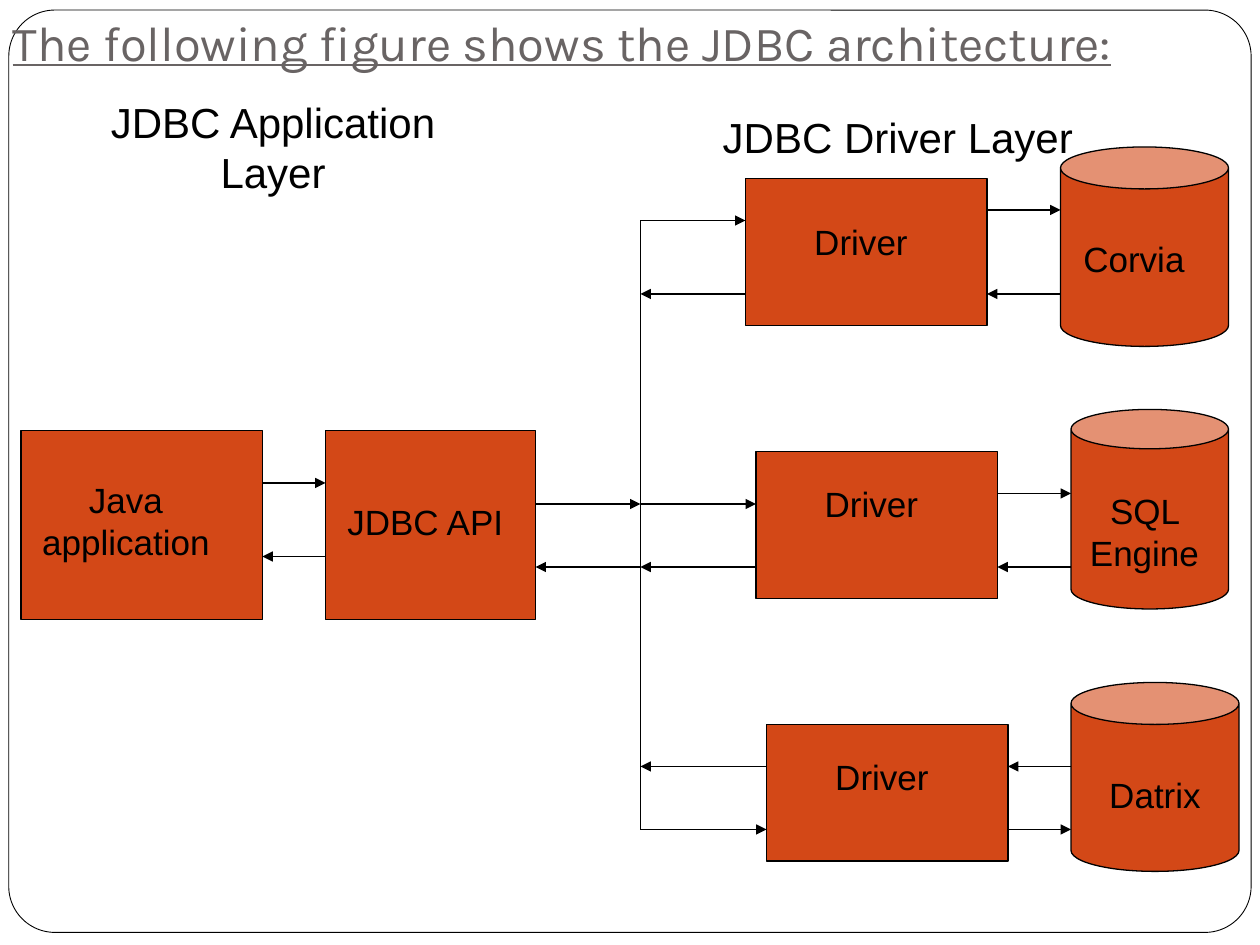
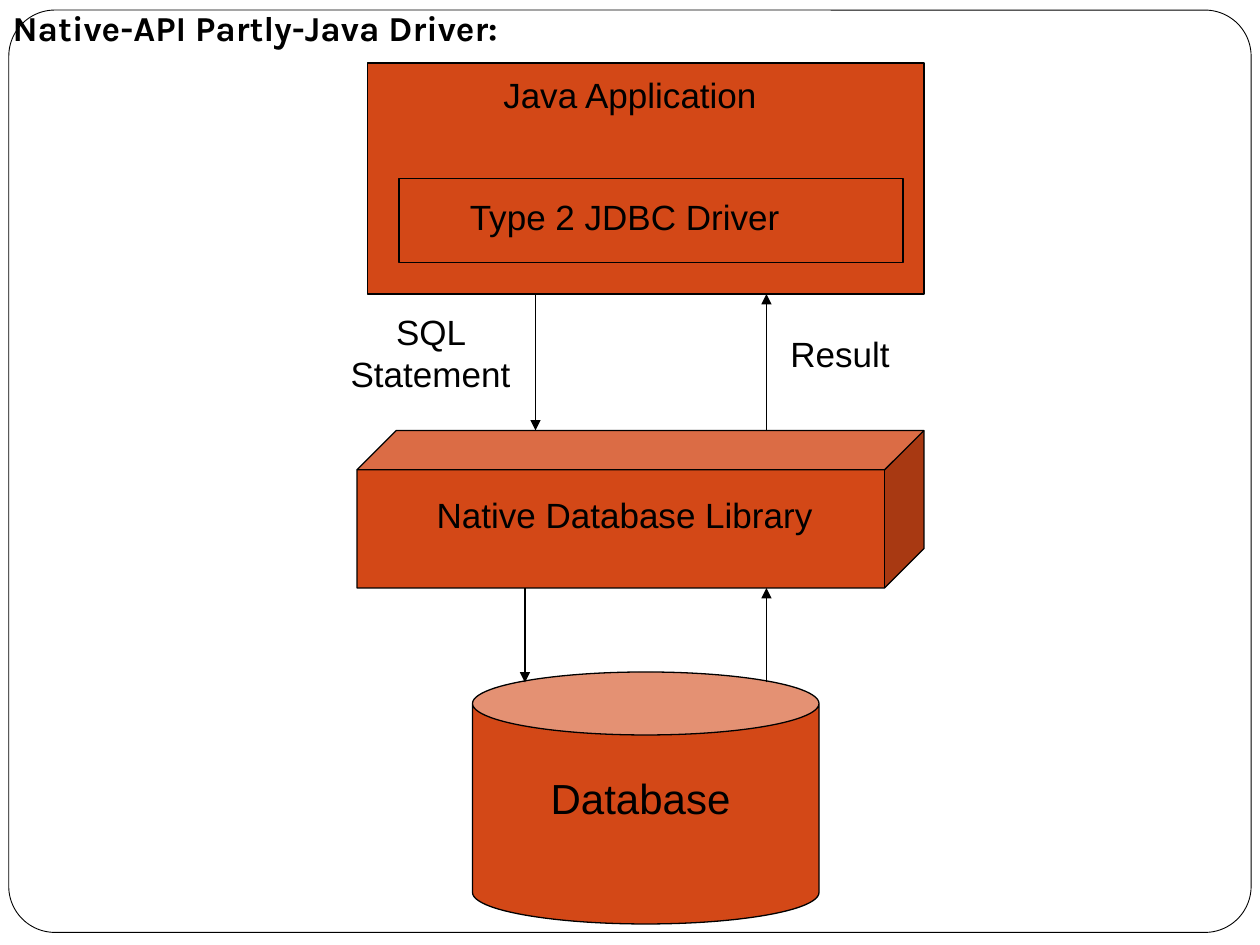
from lxml import etree
from pptx import Presentation
from pptx.dml.color import RGBColor
from pptx.enum.shapes import MSO_CONNECTOR, MSO_SHAPE
from pptx.enum.text import MSO_ANCHOR, MSO_AUTO_SIZE, PP_ALIGN
from pptx.oxml.ns import qn
from pptx.util import Inches, Pt

RECT, CAN, CUBE = MSO_SHAPE.RECTANGLE, MSO_SHAPE.CAN, MSO_SHAPE.CUBE
ROUNDED, STRAIGHT = MSO_SHAPE.ROUNDED_RECTANGLE, MSO_CONNECTOR.STRAIGHT
TOP, MIDDLE, BOTTOM = MSO_ANCHOR.TOP, MSO_ANCHOR.MIDDLE, MSO_ANCHOR.BOTTOM
LEFT, CENTER = PP_ALIGN.LEFT, PP_ALIGN.CENTER
FIXED = MSO_AUTO_SIZE.NONE

ORANGE, BLACK, WHITE, GREY = "D34817", "000000", "FFFFFF", "696464"
TITLE_FONT, LABEL_FONT = "Karla", "Arial"
LABEL_SIZE, HEADING_SIZE = 20, 24

# The slide is a grid of 120 columns by 90 rows, each cell 1/12 inch.
COLUMNS, ROWS = 120, 90
ONE_LINE, TWO_LINES, TALL_LINE = 5.3, 9.2, 6

prs = Presentation()
prs.slide_width, prs.slide_height = Inches(10), Inches(7.5)


def grid(*cells):
    """Turn alternating column and row counts into slide lengths."""
    units = (prs.slide_width / COLUMNS, prs.slide_height / ROWS)
    return [round(cell * units[i % 2]) for i, cell in enumerate(cells)]


def add_words(frame, words, font_name, size, colour, align, anchor):
    frame.word_wrap = True
    frame.auto_size = FIXED
    frame.vertical_anchor = anchor
    paragraph = frame.paragraphs[0]
    paragraph.alignment = align
    run = paragraph.add_run()
    run.text = words
    run.font.name = font_name
    run.font.size = Pt(size)
    run.font.color.rgb = RGBColor.from_string(colour)
    return run.font


# Architecture: blocks are (kind, cells), flows are (from and to cells, has arrowhead),
# labels are (words, cells, size).
BUS, API_EDGE = 61, 51
architecture = {
    "title": ("The following figure shows the JDBC architecture:", 28, GREY, BOTTOM, 8),
    "underline": True,
    "bold": False,
    "blocks": [(RECT, (2, 41, 23, 18)), (RECT, (31, 41, 20, 18))],
    "flows": [
        ((25, 46, 31, 46), True),
        ((31, 53, 25, 53), True),
        ((BUS, 21, BUS, 79), False),
        ((API_EDGE, 48, BUS, 48), True),
        ((BUS, 54, API_EDGE, 54), True),
    ],
    "labels": [
        ("JDBC Application Layer", (4, 11, 44, TALL_LINE), HEADING_SIZE),
        ("JDBC Driver Layer", (67, 10, 37, TALL_LINE), HEADING_SIZE),
        ("Java application", (2, 45, 20, TWO_LINES), LABEL_SIZE),
        ("JDBC API", (31, 47, 19, ONE_LINE), LABEL_SIZE),
    ],
}

# Driver cells, store cells, bus request row, store request row, reply row,
# driver label row, store name and its cells
branches = [
    ((71, 17, 23, 14), (101, 14, 16, 19), 21, 20, 28, 20, "Corvia", (101, 22, 14, ONE_LINE)),
    ((72, 43, 23, 14), (102, 39, 15, 19), 48, 47, 54, 45, "SQL Engine", (102, 46, 14, TWO_LINES)),
    ((73, 69, 23, 13), (102, 65, 16, 18), 79, 79, 73, 71, "Datrix", (103, 73, 14, ONE_LINE)),
]
for driver, store, request, store_request, reply, driver_row, store_name, name_cells in branches:
    driver_left, driver_right, store_left = driver[0], driver[0] + driver[2], store[0]
    architecture["blocks"] += [(RECT, driver), (CAN, store)]
    architecture["flows"] += [
        ((BUS, request, driver_left, request), True),
        ((driver_left, reply, BUS, reply), True),
        ((driver_right, store_request, store_left, store_request), True),
        ((store_left, reply, driver_right, reply), True),
    ]
    architecture["labels"] += [
        ("Driver", (driver_left + 2, driver_row, 18, TALL_LINE), LABEL_SIZE),
        (store_name, name_cells, LABEL_SIZE),
    ]

native_driver = {
    "title": ("Native-API Partly-Java Driver:", 20, BLACK, TOP, 6),
    "underline": False,
    "bold": True,
    "blocks": [
        (RECT, (35, 6, 53, 22)),
        (RECT, (38, 17, 48, 8)),
        (CUBE, (34, 41, 54, 15)),
        (CAN, (45, 64, 33, 24)),
    ],
    "flows": [
        ((51, 28, 51, 41), True),
        ((73, 41, 73, 28), True),
        ((50, 56, 50, 65), True),
        ((73, 65, 73, 56), True),
    ],
    "labels": [
        ("Java Application", (39, 6, 42, TALL_LINE), LABEL_SIZE),
        ("Type 2 JDBC Driver", (39, 18, 41, ONE_LINE), LABEL_SIZE),
        ("SQL Statement", (31, 29, 20, TWO_LINES), LABEL_SIZE),
        ("Result", (73, 31, 14, ONE_LINE), LABEL_SIZE),
        ("Native Database Library", (36, 46, 47, TALL_LINE), LABEL_SIZE),
        ("Database", (47, 73, 28, TALL_LINE), HEADING_SIZE),
    ],
}

title_only = prs.slide_layouts[5]
for diagram in (architecture, native_driver):
    slide = prs.slides.add_slide(title_only)

    words, size, colour, anchor, title_rows = diagram["title"]
    title = slide.shapes.title
    title.left, title.top, title.width, title.height = grid(0, 0, COLUMNS, title_rows)
    frame = title.text_frame
    frame.margin_bottom = Inches(0.1)
    title_font = add_words(frame, words, TITLE_FONT, size, colour, LEFT, anchor)
    title_font.underline, title_font.bold = diagram["underline"], diagram["bold"]

    for kind, cells in diagram["blocks"]:
        block = slide.shapes.add_shape(kind, *grid(*cells))
        block.shadow.inherit = False
        block.fill.solid()
        block.fill.fore_color.rgb = RGBColor.from_string(ORANGE)
        block.line.color.rgb = RGBColor.from_string(BLACK)
        block.line.width = Pt(0.75)

    for cells, has_arrowhead in diagram["flows"]:
        flow = slide.shapes.add_connector(STRAIGHT, *grid(*cells))
        flow.line.color.rgb = RGBColor.from_string(BLACK)
        flow.line.width = Pt(0.75)
        if has_arrowhead:
            outline = flow.line._get_or_add_ln()
            etree.SubElement(outline, qn("a:tailEnd"), type="triangle")
        etree.SubElement(flow.element.spPr, qn("a:effectLst"))

    for words, cells, size in diagram["labels"]:
        label = slide.shapes.add_textbox(*grid(*cells))
        add_words(label.text_frame, words, LABEL_FONT, size, BLACK, CENTER, MIDDLE)

# The rounded frame belongs to the master, so it lies behind every slide.
border = prs.slides[0].shapes.add_shape(
    ROUNDED, Inches(0.07), Inches(0.08), Inches(9.86), Inches(7.32))
border.adjustments[0] = 0.05
border.shadow.inherit = False
border.fill.solid()
border.fill.fore_color.rgb = RGBColor.from_string(WHITE)
border.line.color.rgb = RGBColor.from_string(BLACK)
border.line.width = Pt(0.5)
prs.slide_master.shapes.element.append(border.element)

prs.save("out.pptx")
